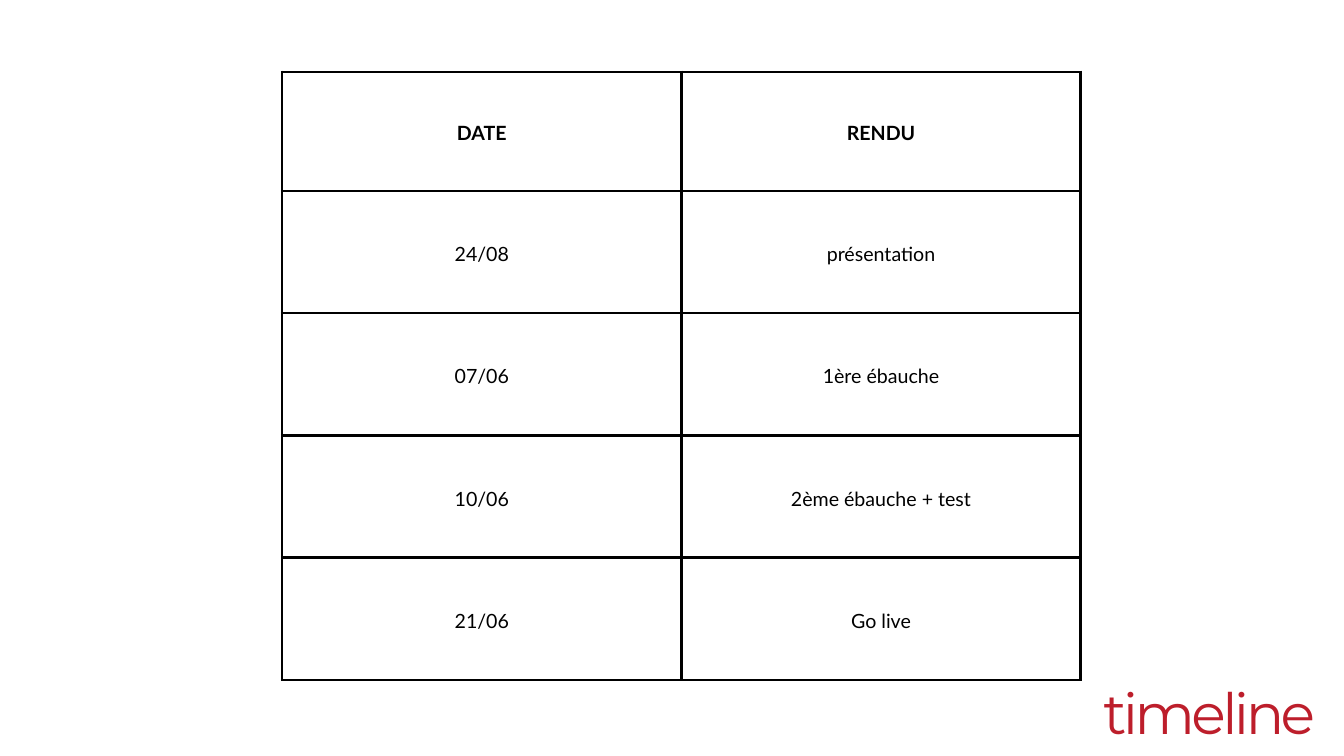
from lxml import etree
from pptx import Presentation
from pptx.dml.color import RGBColor
from pptx.enum import text
from pptx.oxml import ns
from pptx.util import Pt

BLACK = RGBColor(0x00, 0x00, 0x00)
RED = RGBColor(0xBD, 0x1E, 0x2B)

ROWS = [
    ("DATE", "RENDU"),
    ("24/08", "présentation"),
    ("07/06", "1ère ébauche"),
    ("10/06", "2ème ébauche + test"),
    ("21/06", "Go live"),
]


def style_paragraph(p, content, font, size, color, align, spacing):
    """Write one line of text in a single style."""
    p.text = content
    p.alignment = align
    p.line_spacing = Pt(spacing)
    p.font.name = font
    p.font.size = Pt(size)
    p.font.color.rgb = color


def add_borders(cell, color, width):
    """Draw a solid line on each side of a cell."""
    tc_pr = cell._tc.get_or_add_tcPr()
    for side in ("lnL", "lnR", "lnT", "lnB"):
        ln = etree.SubElement(tc_pr, ns.qn(f"a:{side}"), w=str(Pt(width)))
        fill = etree.SubElement(ln, ns.qn("a:solidFill"))
        etree.SubElement(fill, ns.qn("a:srgbClr"), val=str(color))


def add_schedule(slide, left, top, width, height, header_height):
    """Place the table of dates and deliverables in the given box."""
    n_rows, n_cols = len(ROWS), len(ROWS[0])
    table = slide.shapes.add_table(
        n_rows, n_cols, Pt(left), Pt(top), Pt(width), Pt(height)).table
    table.horz_banding = False
    table.first_row = False
    for col in table.columns:
        col.width = Pt(width / n_cols)
    for i, (row, values) in enumerate(zip(table.rows, ROWS)):
        row.height = Pt((height - header_height) / (n_rows - 1) if i else header_height)
        for cell, value in zip(row.cells, values):
            cell.margin_left = cell.margin_right = Pt(15)
            cell.margin_top = cell.margin_bottom = Pt(15)
            cell.vertical_anchor = text.MSO_ANCHOR.MIDDLE
            add_borders(cell, BLACK, 3)
            cell.fill.background()
            p = cell.text_frame.paragraphs[0]
            style_paragraph(p, value, "Lato", 21, BLACK, text.PP_ALIGN.CENTER, 29.4)
            p.font.bold = i == 0


def add_title(slide, left, top, width, height):
    """Place the right-aligned title in the given box."""
    tf = slide.shapes.add_textbox(Pt(left), Pt(top), Pt(width), Pt(height)).text_frame
    tf.margin_left = tf.margin_right = tf.margin_top = tf.margin_bottom = 0
    tf.word_wrap = True
    tf.auto_size = text.MSO_AUTO_SIZE.SHAPE_TO_FIT_TEXT
    p = tf.paragraphs[0]
    style_paragraph(p, "timeline", "Montserrat", 61, RED, text.PP_ALIGN.RIGHT, 59.8)
    p.runs[0].font._element.set("spc", "-380")


def main():
    """Build the slide and save it."""
    prs = Presentation()
    prs.slide_width, prs.slide_height = Pt(1440), Pt(810)
    slide = prs.slides.add_slide(prs.slide_layouts[6])
    add_schedule(slide, 302.4, 77.04, 855.4, 651.6, header_height=127.5)
    add_title(slide, 581.8, 739.4, 827.3, 61.9)
    prs.save("out.pptx")


if __name__ == "__main__":
    main()
